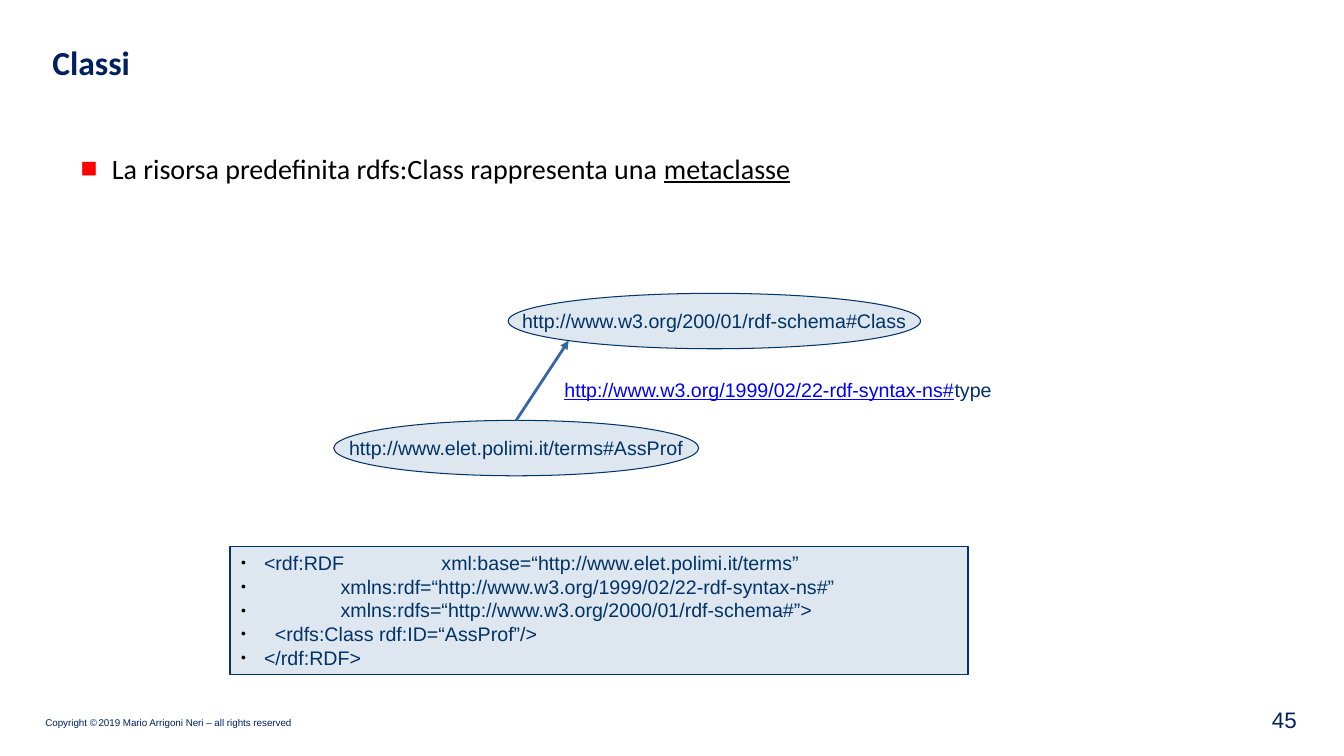
import pptx
import pptx.util
import pptx.dml.color
import pptx.enum.shapes
import pptx.enum.text
import lxml.etree
from pptx.util import Inches

COLORS = {"navy": "002060", "ink": "003366", "pale": "DEE6EF", "link": "0000FF",
          "arrow": "3465A4", "bullet": "FF0000", "black": "000000"}
ALIGN = pptx.enum.text.PP_ALIGN
ANCHOR = pptx.enum.text.MSO_ANCHOR
SHAPES = pptx.enum.shapes.MSO_SHAPE


def rgb(name):
    return pptx.dml.color.RGBColor.from_string(COLORS[name])


def write(text, paragraph=None, box=None, size=14, font="Arial", color="ink", bold=False,
          underline=False, align=ALIGN.LEFT, anchor=ANCHOR.TOP, wrap=False, bullet=None):
    if paragraph is None:
        if not hasattr(box, "text_frame"):
            box = slide.shapes.add_textbox(*[Inches(length) for length in box])
        frame = box.text_frame
        frame.word_wrap = wrap
        frame.vertical_anchor = anchor
        paragraph = frame.paragraphs[0] if not frame.text else frame.add_paragraph()
        paragraph.alignment = align
    if bullet:
        symbol, bullet_color, percent, margin, indent = bullet
        properties = paragraph._p.get_or_add_pPr()
        properties.set("marL", str(Inches(margin)))
        properties.set("indent", str(Inches(indent)))
        properties.set("defTabSz", str(Inches(1)))
        color_element = pptx.oxml.xmlchemy.OxmlElement("a:buClr")
        lxml.etree.SubElement(color_element, pptx.oxml.ns.qn("a:srgbClr"), val=COLORS[bullet_color])
        properties.append(color_element)
        for tag, key, value in (("a:buSzPct", "val", str(percent * 1000)),
                                ("a:buFont", "typeface", "Arial"),
                                ("a:buChar", "char", symbol)):
            lxml.etree.SubElement(properties, pptx.oxml.ns.qn(tag)).set(key, value)
    run = paragraph.add_run()
    run.text = text
    run.font.size = pptx.util.Pt(size)
    run.font.name = font
    run.font.bold = bold
    run.font.underline = underline
    run.font.color.rgb = rgb(color)
    return paragraph


presentation = pptx.Presentation()
presentation.slide_width = Inches(13.33)
presentation.slide_height = Inches(7.5)
slide = presentation.slides.add_slide(presentation.slide_layouts[6])

footer = slide.shapes.add_textbox(Inches(0.43), Inches(7.09), Inches(2.49), Inches(0.16))
for side in ("left", "top", "right", "bottom"):
    setattr(footer.text_frame, "margin_" + side, Inches(0.02))
copyright_line = write("Copyright ©", box=footer, size=7, color="navy", anchor=ANCHOR.BOTTOM)
write(" ", paragraph=copyright_line, size=4, color="navy")
write("2019 Mario Arrigoni Neri – all rights reserved", paragraph=copyright_line,
      size=7, color="navy")

write("Classi", box=(0.42, 0.37, 12.51, 0.65), size=24, font="Calibri", color="navy",
      bold=True, wrap=True)
write("45", box=(12.41, 6.96, 0.55, 0.35), size=16, color="navy", align=ALIGN.RIGHT,
      anchor=ANCHOR.MIDDLE, wrap=True)

statement = write("La risorsa predefinita rdfs:Class rappresenta una ",
                  box=(0.42, 1.45, 12.38, 0.5), size=20, font="Calibri", color="black",
                  wrap=True, bullet=("■", "bullet", 100, 0.59, -0.31))
write("metaclasse", paragraph=statement, size=20, font="Calibri", color="black", underline=True)

panels = []
for kind, left, top, width, height, line_width in (
        (SHAPES.OVAL, 3.31, 4.17, 3.62, 0.55, 0.75),
        (SHAPES.OVAL, 5.04, 2.91, 4.09, 0.55, 0.75),
        (SHAPES.RECTANGLE, 2.28, 5.42, 7.32, 1.27, 1)):
    panel = slide.shapes.add_shape(kind, Inches(left), Inches(top), Inches(width), Inches(height))
    panel.shadow.inherit = False
    panel.fill.solid()
    panel.fill.fore_color.rgb = rgb("pale")
    panel.line.color.rgb = rgb("ink")
    panel.line.width = pptx.util.Pt(line_width)
    panels.append(panel)
instance, metaclass, code = panels

for node, address in ((instance, "http://www.elet.polimi.it/terms#AssProf"),
                      (metaclass, "http://www.w3.org/200/01/rdf-schema#Class")):
    write(address, box=node, align=ALIGN.CENTER, anchor=ANCHOR.MIDDLE)

type_label = write("http://www.w3.org/1999/02/22-rdf-syntax-ns#", box=(5.5, 3.7, 4.44, 0.34),
                   color="link", underline=True)
write("type", paragraph=type_label)

arrow = slide.shapes.add_connector(pptx.enum.shapes.MSO_CONNECTOR.STRAIGHT,
                                   Inches(5.12), Inches(4.17), Inches(5.64), Inches(3.38))
arrow.begin_connect(instance, 0)
arrow.line.color.rgb = rgb("arrow")
arrow.line.width = pptx.util.Pt(0)
lxml.etree.SubElement(arrow.line._get_or_add_ln(), pptx.oxml.ns.qn("a:tailEnd"), type="triangle")
lxml.etree.SubElement(arrow._element.spPr, pptx.oxml.ns.qn("a:effectLst"))

for code_line in ("<rdf:RDF\txml:base=“http://www.elet.polimi.it/terms”",
                  "\txmlns:rdf=“http://www.w3.org/1999/02/22-rdf-syntax-ns#”",
                  "\txmlns:rdfs=“http://www.w3.org/2000/01/rdf-schema#”>",
                  "  <rdfs:Class rdf:ID=“AssProf”/>",
                  "</rdf:RDF>"):
    write(code_line, box=code, wrap=True, bullet=("●", "black", 45, 0.24, -0.23))

presentation.save("out.pptx")
